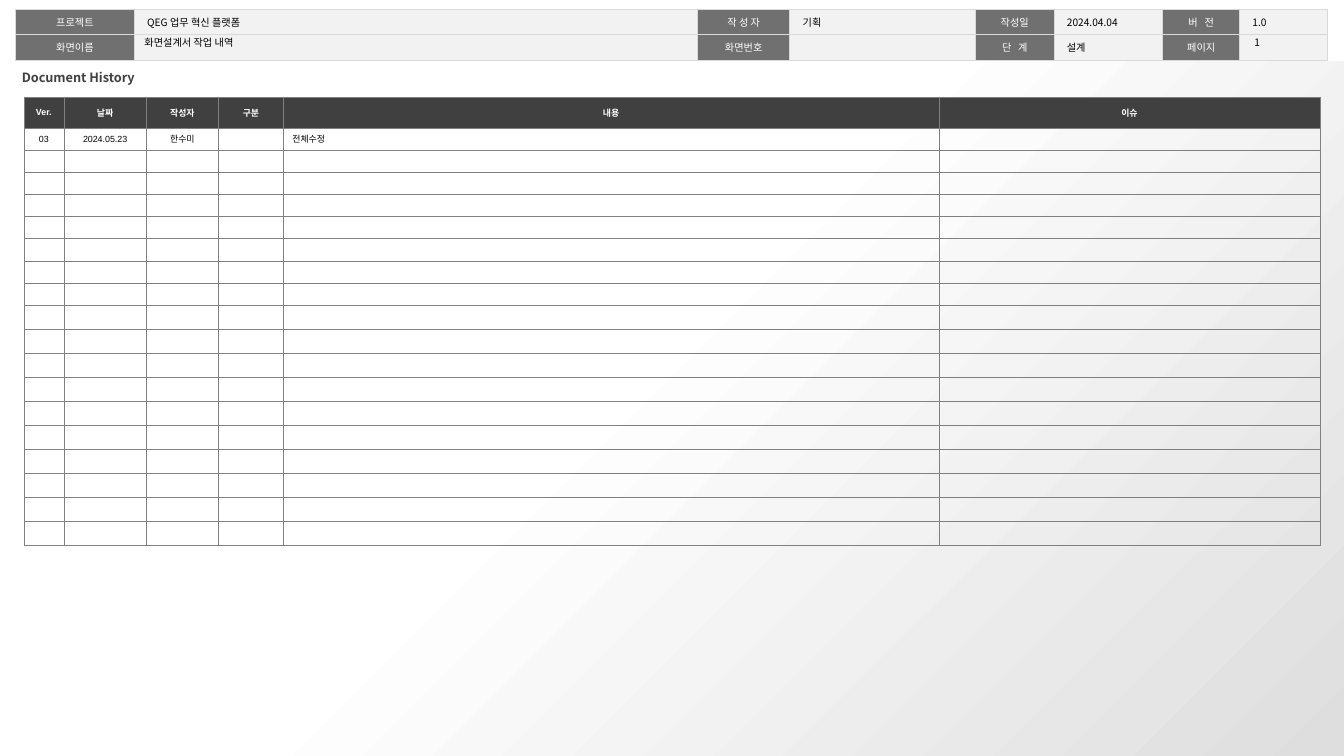
import pptx
import pptx.util
import pptx.dml.color
import pptx.enum.shapes
import pptx.enum.text
import pptx.oxml
import pptx.oxml.ns

Inches = pptx.util.Inches
Pt = pptx.util.Pt
RGBColor = pptx.dml.color.RGBColor
CENTER = pptx.enum.text.PP_ALIGN.CENTER
LEFT = pptx.enum.text.PP_ALIGN.LEFT
MIDDLE = pptx.enum.text.MSO_ANCHOR.MIDDLE
TOP = pptx.enum.text.MSO_ANCHOR.TOP

# Content
SCREEN_TITLE = "화면설계서 작업 내역"
PAGE_NUMBER = "1"
SECTION_LABEL = "Document History"
INFO_ROWS = [
    ["프로젝트", "QEG 업무 혁신 플랫폼", "작 성 자", "기획", "작성일", "2024.04.04", "버 전", "1.0"],
    ["화면이름", "", "화면번호", "", "단 계", "설계", "페이지", ""],
]
SPACED_LABELS = ("버 전", "단 계")
HISTORY_HEADER = ["Ver.", "날짜", "작성자", "구분", "내용", "이슈"]
HISTORY_ENTRIES = [["03", "2024.05.23", "한수미", "", "전체수정", ""]]

# Layout in inches
INFO_COLUMNS = [1.3, 6.16, 1.01, 2.03, 0.86, 1.19, 0.84, 0.96]
INFO_HEIGHTS = [0.28, 0.28]
HISTORY_COLUMNS = [0.44, 0.9, 0.79, 0.71, 7.17, 4.17]
HISTORY_HEIGHTS = [0.34] + [1.94 / 8] * 8 + [2.63 / 10] * 10
CONTENT_COLUMN = 4

KOREAN_FONT = "Noto Sans CJK KR"
LATIN_FONT = "Arial"
WHITE = RGBColor(0xFF, 0xFF, 0xFF)
BLACK = RGBColor(0, 0, 0)
LABEL_GRAY = RGBColor(0x70, 0x70, 0x70)
VALUE_GRAY = RGBColor(0xF2, 0xF2, 0xF2)
INFO_BORDER = RGBColor(0xD9, 0xD9, 0xD9)
HISTORY_BORDER = RGBColor(0x80, 0x80, 0x80)
DARK = RGBColor(0x40, 0x40, 0x40)
SHADE = RGBColor(0xDE, 0xDE, 0xDE)


def write(frame, text, size, color, font=KOREAN_FONT, bold=False, align=LEFT, tracking=0):
    para = frame.paragraphs[0]
    para.alignment = align
    if not text:
        # An empty cell keeps the small text size so its row stays low
        mark = pptx.oxml.ns.qn("a:endParaRPr")
        para._p.makeelement(mark)
        end = para._p.makeelement(mark, {"sz": str(size * 100)})
        para._p.append(end)
        return para
    span = para.add_run()
    span.text = text
    span.font.size = Pt(size)
    span.font.name = font
    span.font.bold = bold
    span.font.color.rgb = color
    properties = span._r.get_or_add_rPr()
    if tracking:
        properties.set("spc", str(tracking))
    east_asian = properties.makeelement(pptx.oxml.ns.qn("a:ea"), {"typeface": KOREAN_FONT})
    properties.find(pptx.oxml.ns.qn("a:latin")).addnext(east_asian)
    return para


def add_grid(page, left, top, columns, heights):
    grid = page.shapes.add_table(
        len(heights), len(columns), Inches(left), Inches(top),
        Inches(sum(columns)), Inches(sum(heights))).table
    grid.first_row = False
    grid.horz_banding = False
    for column, width in zip(grid.columns, columns):
        column.width = Inches(width)
    for row, height in zip(grid.rows, heights):
        row.height = Inches(height)
    return grid


def style_cell(cell, fill, border, points, side, edge, anchor):
    properties = cell._tc.get_or_add_tcPr()
    for name in ("lnL", "lnR", "lnT", "lnB"):
        properties.append(pptx.oxml.parse_xml(
            f'<a:{name} {pptx.oxml.ns.nsdecls("a")} w="{Pt(points)}">'
            f'<a:solidFill><a:srgbClr val="{border}"/></a:solidFill></a:{name}>'))
    if fill is None:
        cell.fill.background()
    else:
        cell.fill.solid()
        cell.fill.fore_color.rgb = fill
    cell.margin_left = cell.margin_right = Inches(side)
    cell.margin_top = cell.margin_bottom = Inches(edge)
    cell.vertical_anchor = anchor


def place_text(box, left, top, width, height, side=0.1):
    box.left, box.top = Inches(left), Inches(top)
    box.width, box.height = Inches(width), Inches(height)
    frame = box.text_frame
    frame.word_wrap = True
    frame.auto_size = pptx.enum.text.MSO_AUTO_SIZE.NONE
    frame.vertical_anchor = MIDDLE
    frame.margin_left = frame.margin_right = Inches(side)
    frame.margin_top = frame.margin_bottom = Inches(0.05)
    return frame


def add_info_table(page):
    grid = add_grid(page, 0.17, 0.1, INFO_COLUMNS, INFO_HEIGHTS)
    for row, texts in enumerate(INFO_ROWS):
        for column, text in enumerate(texts):
            is_label = column % 2 == 0
            cell = grid.cell(row, column)
            style_cell(cell, LABEL_GRAY if is_label else VALUE_GRAY,
                       INFO_BORDER, 1, 0.14, 0.05, TOP)
            para = write(cell.text_frame, text, 8, WHITE if is_label else BLACK,
                         align=CENTER if is_label else LEFT,
                         tracking=180 if text in SPACED_LABELS else 0)
            para.line_spacing = 1.05


def add_backdrop(page):
    backdrop = page.shapes.add_shape(
        pptx.enum.shapes.MSO_SHAPE.RECTANGLE, 0, Inches(0.67), Inches(14.7), Inches(7.6))
    backdrop.shadow.inherit = False
    backdrop.line.fill.background()
    backdrop.fill.gradient()
    backdrop.fill.gradient_angle = 315
    for stop, position, color in zip(backdrop.fill.gradient_stops, (0.45, 1), (WHITE, SHADE)):
        stop.position = position
        stop.color.rgb = color


def add_history_table(page):
    grid = add_grid(page, 0.26, 1.06, HISTORY_COLUMNS, HISTORY_HEIGHTS)
    blank_rows = len(HISTORY_HEIGHTS) - 1 - len(HISTORY_ENTRIES)
    rows = [HISTORY_HEADER] + HISTORY_ENTRIES + [[""] * len(HISTORY_HEADER)] * blank_rows
    for row, texts in enumerate(rows):
        is_header = row == 0
        for column, text in enumerate(texts):
            cell = grid.cell(row, column)
            style_cell(cell, DARK if is_header else None, HISTORY_BORDER, 0.25, 0.1, 0.04, MIDDLE)
            centered = is_header or column != CONTENT_COLUMN
            write(cell.text_frame, text, 7, WHITE if is_header else BLACK, LATIN_FONT,
                  is_header, CENTER if centered else LEFT)


def main():
    deck = pptx.Presentation()
    deck.slide_width, deck.slide_height = Inches(14.7), Inches(8.27)
    page = deck.slides.add_slide(deck.slide_layouts[5])

    # Project information and backdrop
    add_info_table(page)
    add_backdrop(page)

    # Page number and screen title, in front of the information table
    number = page.shapes.add_textbox(0, 0, 0, 0)
    write(place_text(number, 13.62, 0.38, 0.72, 0.16), PAGE_NUMBER, 8, BLACK)
    title = page.shapes.title
    page.shapes.element.append(title.element)
    write(place_text(title, 1.47, 0.38, 5.42, 0.16, 0.11), SCREEN_TITLE, 8, BLACK)

    # Revision history
    add_history_table(page)
    label = page.shapes.add_textbox(0, 0, 0, 0)
    write(place_text(label, 0.14, 0.71, 1.48, 0.27), SECTION_LABEL, 10, DARK, bold=True)

    deck.save("out.pptx")


if __name__ == "__main__":
    main()
